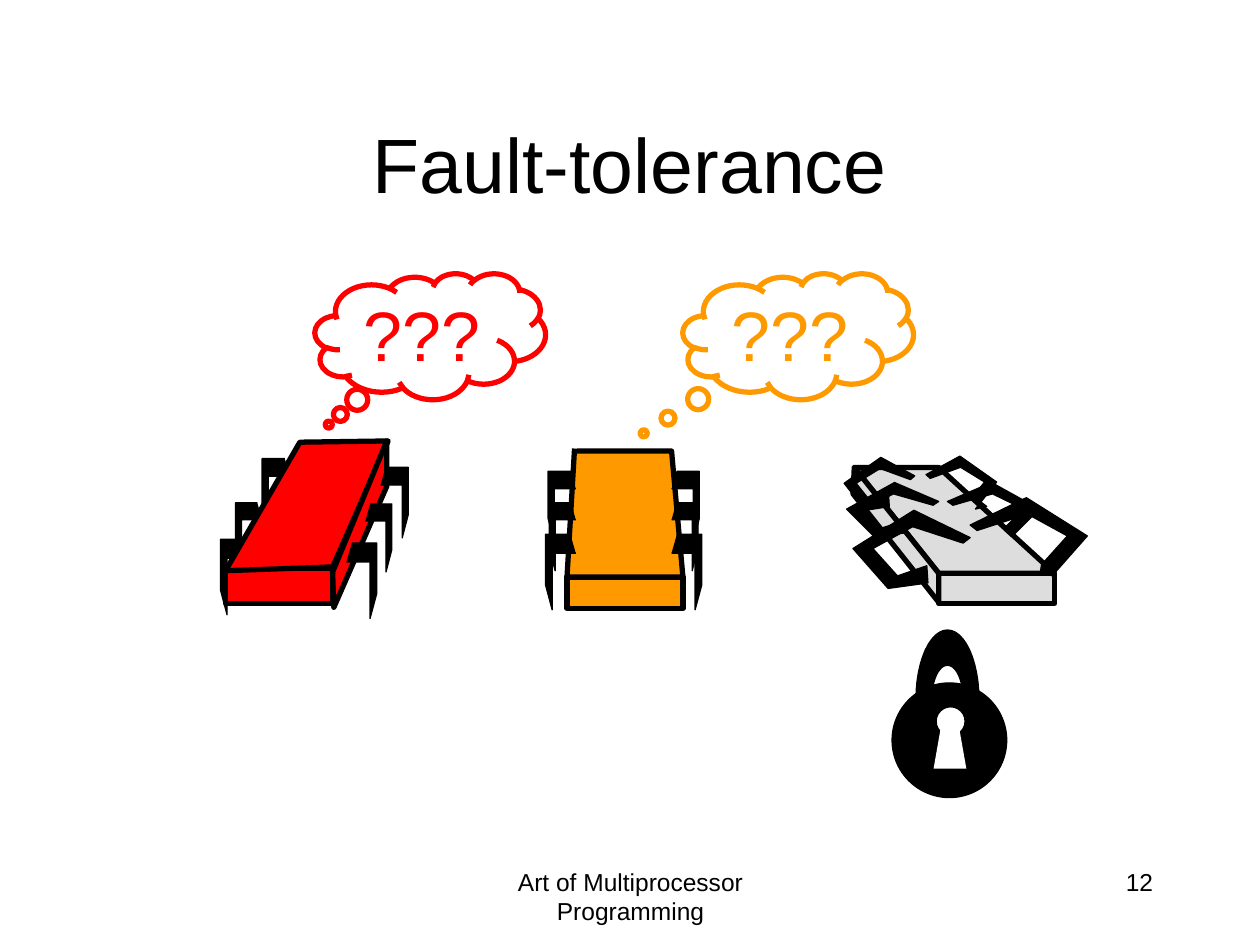
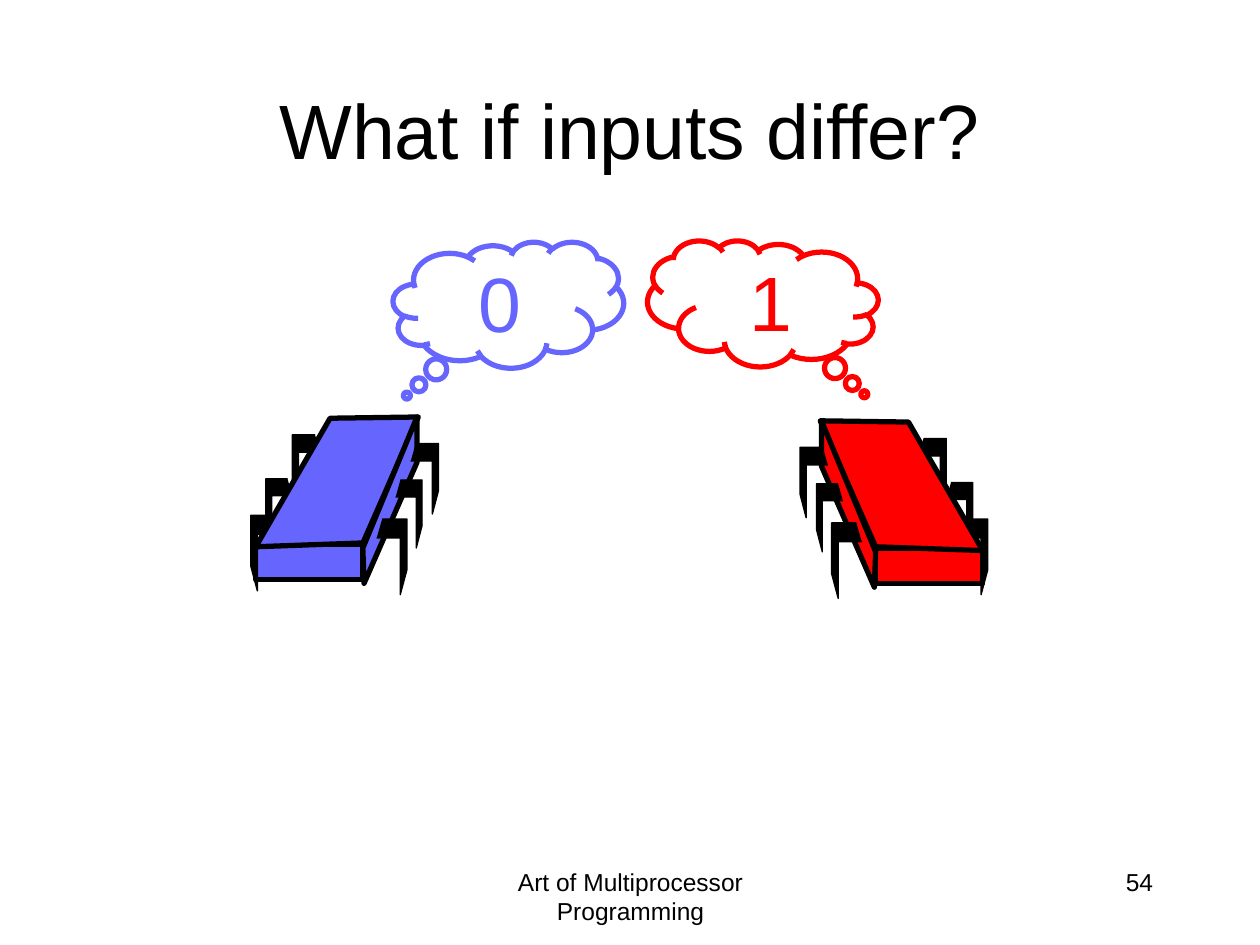
import math
from dataclasses import dataclass
from typing import Any, NamedTuple

import pptx
import pptx.dml.color
import pptx.enum.shapes
import pptx.enum.text
import pptx.util

MSO = pptx.enum.shapes.MSO_SHAPE
ALIGN = pptx.enum.text.PP_ALIGN
ANCHOR = pptx.enum.text.MSO_ANCHOR

COLORS = {
    "black": "000000",
    "white": "FFFFFF",
    "red": "FF0000",
    "orange": "FF9900",
    "blue": "6666FF",
    "gray": "DDDDDD",
}
FONT = "Arial"
THICK, THIN = 3, 0.75

# All lengths are cells of a grid of 100 columns by 75 rows
COLS, ROWS = 100, 75
CELL = pptx.util.Inches(10) // COLS

Points = list[tuple[float, float]]


class Box(NamedTuple):
    x: float
    y: float
    w: float
    h: float

    def emu(self) -> list[int]:
        return [round(v * CELL) for v in self]

    def fit(self, shares: Points, mirror: bool = False) -> Points:
        """Scale points given as shares of the box into the box."""
        return [(self.x + self.w * (1 - u if mirror else u), self.y + self.h * v)
                for u, v in shares]


@dataclass(frozen=True)
class Thought:
    text: str
    box: Box
    color: str
    tail: tuple[float, float]
    size: int = 40
    mirror: bool = False


@dataclass(frozen=True)
class SideThread:
    x: float
    y: float
    color: str
    mirror: bool = False


# Text and formatting
def rgb(name: str) -> pptx.dml.color.RGBColor:
    return pptx.dml.color.RGBColor.from_string(COLORS[name])


def write(s: Any, text: str, *, size: float, color: str = "black",
          align: ALIGN = ALIGN.CENTER, anchor: ANCHOR = ANCHOR.MIDDLE) -> None:
    tf = s.text_frame
    tf.word_wrap = True
    tf.vertical_anchor = anchor
    p = tf.paragraphs[0]
    p.alignment = align
    r = p.add_run()
    r.text = text
    r.font.name = FONT
    r.font.size = pptx.util.Pt(size)
    r.font.color.rgb = rgb(color)


def paint(sp: Any, fill: str | None, line: str | None, width: float) -> None:
    sp.shadow.inherit = False
    if fill:
        sp.fill.solid()
        sp.fill.fore_color.rgb = rgb(fill)
    else:
        sp.fill.background()
    if line:
        sp.line.color.rgb = rgb(line)
        sp.line.width = pptx.util.Pt(width)
    else:
        sp.line.fill.background()


@dataclass(frozen=True)
class Pen:
    """Draws into a shape tree, moved to an origin and mirrored within a span."""
    shapes: Any
    x: float = 0
    y: float = 0
    span: float | None = None

    def across(self, x: float, w: float = 0) -> float:
        return self.x + (x if self.span is None else self.span - x - w)

    def preset(self, kind: MSO, box: Box, fill: str | None,
               line: str | None = "black", width: float = THICK) -> Any:
        placed = Box(self.across(box.x, box.w), self.y + box.y, box.w, box.h)
        sp = self.shapes.add_shape(kind, *placed.emu())
        paint(sp, fill, line, width)
        return sp

    def outline(self, points: Points, fill: str, line: str | None = "black",
                width: float = THICK, close: bool = True) -> None:
        pts = [(self.across(x) * CELL, (self.y + y) * CELL) for x, y in points]
        fb = self.shapes.build_freeform(*pts[0], scale=1.0)
        fb.add_line_segments(pts[1:], close=close)
        paint(fb.convert_to_shape(), fill, line, width)


# Legs, as shares of their boxes
LEG = [(0.82, 0), (0, 0), (0, 0.67), (0.22, 1), (0.22, 0.25), (1, 0.25)]
LEG_SIZES = [(2.4, 6), (2.1, 5.4), (2.2, 5.6)]
BENT_LEG = [(0.3, 1), (0, 0.49), (0.52, 0), (1, 0.35), (0.94, 0.42),
            (0.51, 0.21), (0.17, 0.49), (0.38, 0.84)]
BENT_SIZES = [(9.3, 6.2), (7.3, 4.3), (5.6, 4.2)]


def draw_legs(pen: Pen, corners: Points, mirror: bool = False) -> None:
    for corner, size in zip(corners, LEG_SIZES):
        pen.outline(Box(*corner, *size).fit(LEG, mirror), "black",
                    width=THIN, close=False)


# Threads
def draw_side_thread(s: Any, thread: SideThread) -> None:
    span = 14.9 if thread.mirror else None
    pen = Pen(s.shapes.add_group_shape().shapes, thread.x, thread.y, span)
    pen.preset(MSO.RECTANGLE, Box(0.4, 10.1, 8.5, 2.8), thread.color)
    draw_legs(pen, [(0, 7.8), (1.2, 4.9), (3.3, 1.4)])
    pen.outline([(0.4, 10.3), (8.9, 10), (13.3, 0), (6.3, 0.1)], thread.color)
    pen.outline([(13.2, 0), (13.2, 3.6), (9, 13.2), (8.9, 10.4)], thread.color)
    draw_legs(pen, [(10, 8.1), (11.5, 5), (12.7, 2.1)], mirror=True)


def draw_front_thread(s: Any, color: str) -> None:
    pen = Pen(s.shapes.add_group_shape().shapes)
    pen.preset(MSO.RECTANGLE, Box(45, 45.8, 9.2, 2.5), color)
    pen.outline([(45.8, 35.8), (53.3, 35.8), (54.2, 45.8), (45, 45.8), (45.6, 35.6)],
                color, close=False)
    leg_tops = (42.4, 39.9, 37.4)
    inner_left, inner_right = 45.7, 53.3
    draw_legs(pen, [(inner_right, top) for top in leg_tops], mirror=True)
    draw_legs(pen, [(inner_left - w, top)
                    for top, (w, _) in zip(leg_tops, LEG_SIZES)])


def draw_dead_thread(s: Any) -> None:
    pen = Pen(s.shapes.add_group_shape().shapes)
    pen.outline([(67.8, 37.1), (74.5, 45.5), (83.7, 45.5), (74.5, 37.1)], "gray")
    pen.preset(MSO.RECTANGLE, Box(74.5, 45.5, 9.2, 2.4), "gray")
    pen.outline([(67.8, 37.1), (67.7, 39.2), (74.5, 47.8), (74.5, 45.5)], "gray")

    # Each leg shares the bent part and ends in its own foot
    left_foot = [(0.63, 0.71), (0.64, 0.93)]
    legs = [
        (0, (67.7, 40.5), left_foot, False),
        (1, (67.2, 38.3), left_foot, False),
        (2, (67, 36.3), left_foot, False),
        (1, (75.2, 38.3), [(0.42, 0.7), (0.38, 0.88)], True),
        (2, (73.5, 36.2), [(0.38, 0.71), (0.14, 0.95)], True),
        (0, (77, 39.5), [(0.42, 0.81), (0.34, 0.87), (0.39, 0.85), (0.4, 0.95)], True),
    ]
    for size, corner, foot, mirror in legs:
        box = Box(*corner, *BENT_SIZES[size])
        pen.outline(box.fit(foot + BENT_LEG, mirror), "black", width=THIN)


# Padlock
def half_ellipse(cx: float, cy: float, rx: float, ry: float, steps: int = 24) -> Points:
    angles = [math.pi * i / steps for i in range(steps + 1)]
    return [(cx - rx * math.cos(a), cy - ry * math.sin(a)) for a in angles]


def draw_padlock(s: Any) -> None:
    pen = Pen(s.shapes.add_group_shape().shapes)
    pen.preset(MSO.OVAL, Box(70.8, 54.2, 9.1, 9.1), "black", width=THIN)
    pen.preset(MSO.OVAL, Box(74.3, 56.1, 2.3, 2.3), "white", width=THIN)
    pen.outline([(74.1, 61), (74.7, 57.6), (76.1, 57.6), (76.7, 61)], "white", line=None)
    inner = half_ellipse(75.2, 55.5, 1.25, 2.7)
    outer = half_ellipse(75.2, 55.5, 2.5, 5.5)
    pen.outline(inner + outer[::-1], "black", width=THIN)


# Thought clouds
def draw_thought(s: Any, thought: Thought) -> None:
    sp = Pen(s.shapes).preset(MSO.CLOUD_CALLOUT, thought.box, None, thought.color)
    for i, share in enumerate(thought.tail):
        sp.adjustments[i] = share
    if thought.mirror:
        sp._element.spPr.xfrm.set("flipH", "1")
    write(sp, thought.text, size=thought.size, color=thought.color)


# Title and footer shared by both slides
def add_slide(prs: Any, title: str, title_top: float, number: int) -> Any:
    s = prs.slides.add_slide(prs.slide_layouts[5])
    sp = s.shapes.title
    sp.left, sp.top, sp.width, sp.height = Box(7.5, title_top, 85, 12.5).emu()
    write(sp, title, size=44)
    footers = [
        ("Art of Multiprocessor Programming", 34.2, 31.7, ALIGN.CENTER),
        (str(number), 71.7, 20.8, ALIGN.RIGHT),
    ]
    for text, x, w, align in footers:
        tb = s.shapes.add_textbox(*Box(x, 68.3, w, 5).emu())
        write(tb, text, size=14, align=align, anchor=ANCHOR.TOP)
    return s


def build_fault_tolerance(prs: Any) -> None:
    s = add_slide(prs, "Fault-tolerance", 6.7, 12)
    draw_side_thread(s, SideThread(17.5, 35, "red"))
    draw_thought(s, Thought("???", Box(25, 21.7, 18.3, 10), "red", (-0.44, 0.7)))
    draw_dead_thread(s)
    draw_padlock(s)
    draw_thought(s, Thought("???", Box(54.2, 21.7, 18.3, 10), "orange", (-0.67, 0.77)))
    draw_front_thread(s, "orange")


def build_inputs_differ(prs: Any) -> None:
    s = add_slide(prs, "What if inputs differ?", 4, 54)
    tail = (-0.44, 0.72)
    draw_side_thread(s, SideThread(63.5, 33.4, "red", mirror=True))
    draw_thought(s, Thought("1", Box(51.4, 19.1, 18.3, 10), "red", tail, 44, mirror=True))
    draw_side_thread(s, SideThread(19.9, 33.1, "blue"))
    draw_thought(s, Thought("0", Box(31.2, 19.2, 18.3, 10), "blue", tail, 44))


def main() -> None:
    prs = pptx.Presentation()
    prs.slide_width, prs.slide_height = COLS * CELL, ROWS * CELL
    build_fault_tolerance(prs)
    build_inputs_differ(prs)
    prs.save("out.pptx")


if __name__ == "__main__":
    main()
